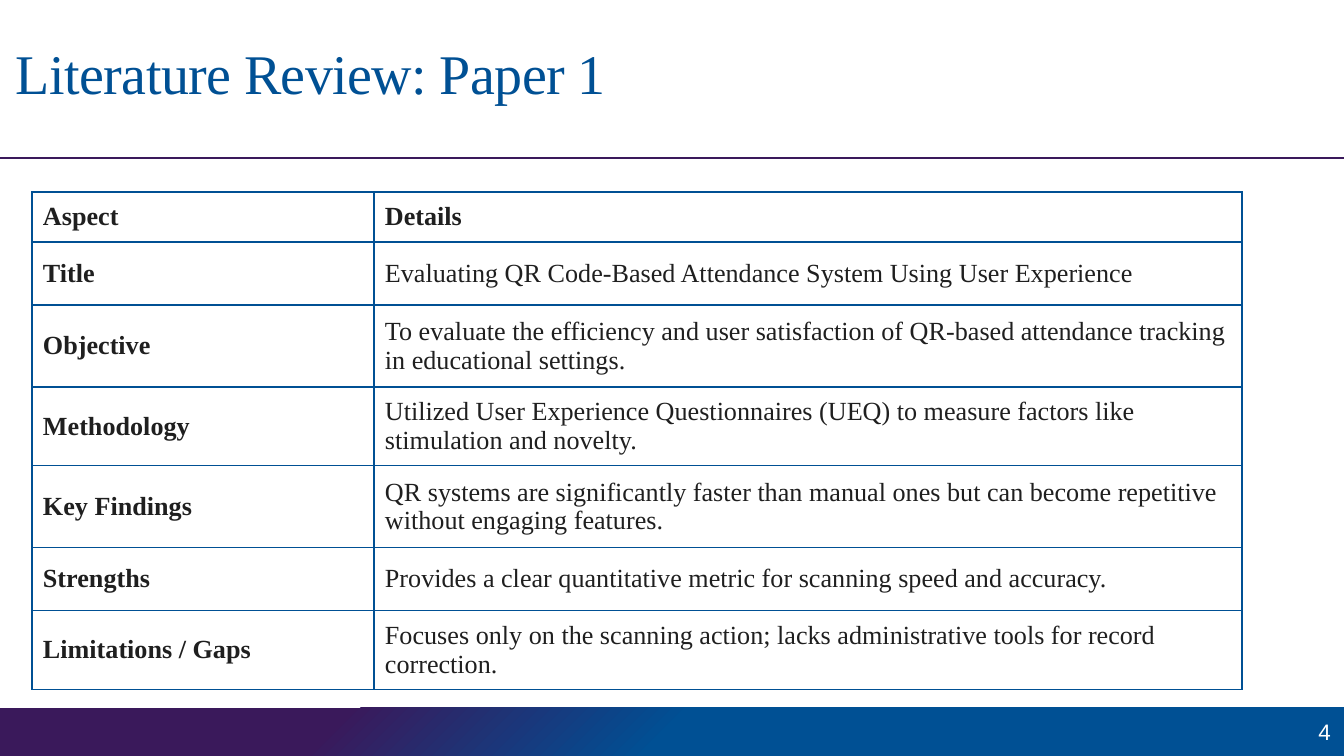
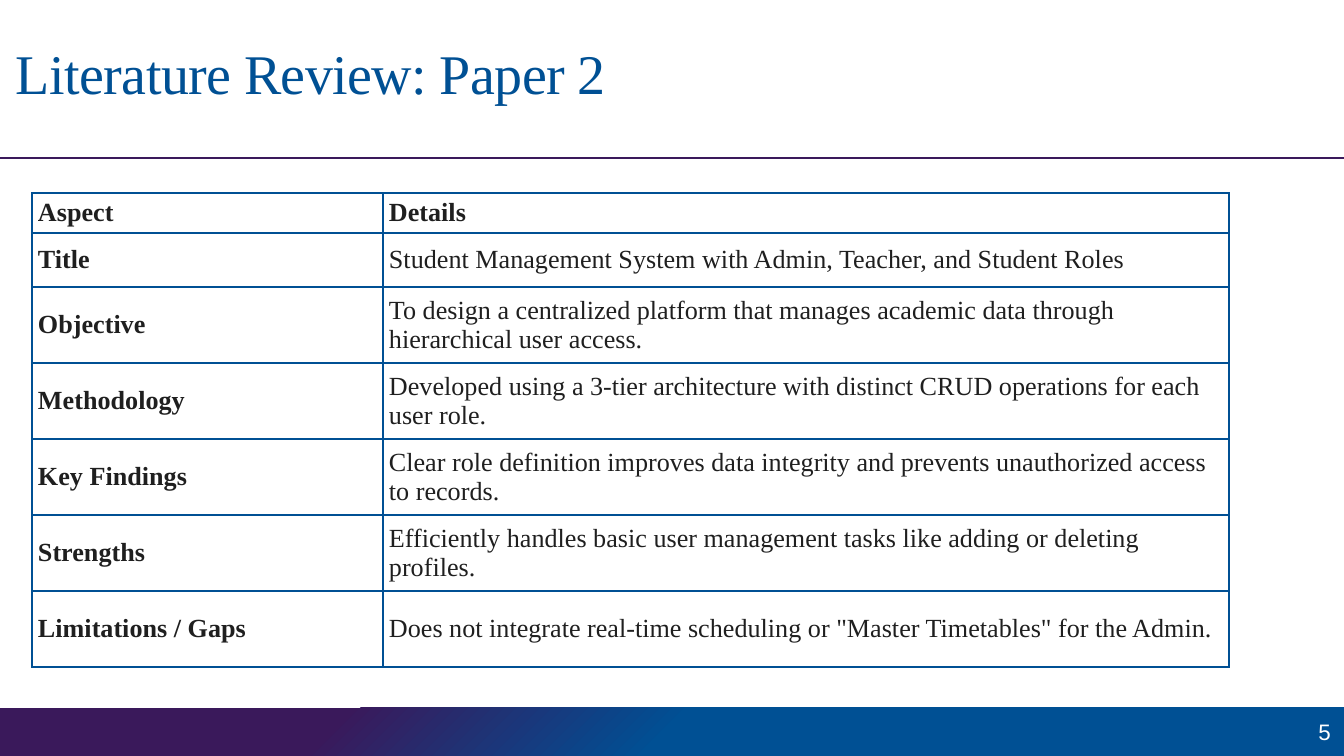
from lxml.etree import SubElement
from pptx import Presentation
from pptx.dml.color import RGBColor
from pptx.enum.shapes import MSO_CONNECTOR, MSO_SHAPE
from pptx.enum.text import MSO_ANCHOR, MSO_AUTO_SIZE, PP_ALIGN
from pptx.oxml import parse_xml
from pptx.oxml.ns import nsdecls, qn
from pptx.util import Emu, Pt

COLOURS = {"blue": "005094", "purple": "3A195B", "ink": "1F1F1F", "white": "FFFFFF"}
SERIF, SANS = "Times New Roman", "Arial"
PAGE_WIDTH, PAGE_HEIGHT = 1344, 756
TITLE_BOX = (9, 28, 1093, 78)
RULE_BOX = (0, 158, PAGE_WIDTH, 0)
BAND_BOX = (0, 708, PAGE_WIDTH, 48)
NUMBER_WIDTH = 75

ASPECTS = ["Aspect", "Title", "Objective", "Methodology", "Key Findings",
           "Strengths", "Limitations / Gaps"]

PAPERS = [
    {
        "title": "Literature Review: Paper 1",
        "number": "4",
        "corner": (32, 192),
        "columns": [342, 868],
        "rows": [50, 63, 82, 78, 82, 63, 78],
        "insets": (11, 8),
        "details": [
            "Details",
            "Evaluating QR Code-Based Attendance System Using User Experience",
            "To evaluate the efficiency and user satisfaction of QR-based attendance tracking in educational settings.",
            "Utilized User Experience Questionnaires (UEQ) to measure factors like stimulation and novelty.",
            "QR systems are significantly faster than manual ones but can become repetitive without engaging features.",
            "Provides a clear quantitative metric for scanning speed and accuracy.",
            "Focuses only on the scanning action; lacks administrative tools for record correction.",
        ],
    },
    {
        "title": "Literature Review: Paper 2",
        "number": "5",
        "corner": (32, 193),
        "columns": [351, 846],
        "rows": [40, 54] + [76] * 5,
        "insets": (6, 4),
        "details": [
            "Details",
            "Student Management System with Admin, Teacher, and Student Roles",
            "To design a centralized platform that manages academic data through hierarchical user access.",
            "Developed using a 3-tier architecture with distinct CRUD operations for each user role.",
            "Clear role definition improves data integrity and prevents unauthorized access to records.",
            "Efficiently handles basic user management tasks like adding or deleting profiles.",
            'Does not integrate real-time scheduling or "Master Timetables" for the Admin.',
        ],
    },
]


def px(length):
    return Emu(round(length * 914400 / 134.4))


def set_font(para, name, size, colour, bold=False):
    para.font.name = name
    para.font.size = Pt(size)
    para.font.bold = bold
    para.font.color.rgb = RGBColor.from_string(COLOURS[colour])


def add_title(page, box, text):
    title = page.shapes.title
    title.left, title.top, title.width, title.height = map(px, box)
    frame = title.text_frame
    frame.text = text
    frame.word_wrap = True
    frame.auto_size = MSO_AUTO_SIZE.SHAPE_TO_FIT_TEXT
    frame.vertical_anchor = MSO_ANCHOR.TOP
    frame.margin_left = frame.margin_right = frame.margin_bottom = 0
    frame.margin_top = px(11)
    para = frame.paragraphs[0]
    para.alignment = PP_ALIGN.LEFT
    properties = para._p.get_or_add_pPr()
    properties.set("marL", str(px(7)))
    properties.set("indent", "0")
    set_font(para, SERIF, 30, "blue")
    properties.get_or_add_defRPr().set("spc", "-30")


def add_rule(page, box):
    left, top, width, height = box
    rule = page.shapes.add_connector(MSO_CONNECTOR.STRAIGHT, px(left), px(top),
                                     px(left + width), px(top + height))
    rule.line.color.rgb = RGBColor.from_string(COLOURS["purple"])
    rule.line.width = Pt(0.75)
    SubElement(rule._element.spPr, qn("a:effectLst"))


def add_band(page, box, number):
    left, top, width, height = box
    band = page.shapes.add_shape(MSO_SHAPE.RECTANGLE, *map(px, box))
    band.shadow.inherit = False
    band.line.fill.background()
    stops = "".join(
        f'<a:gs pos="{position * 1000}"><a:srgbClr val="{COLOURS[colour]}"/></a:gs>'
        for position, colour in [(0, "blue"), (50, "blue"), (75, "purple")])
    gradient = parse_xml(
        f'<a:gradFill {nsdecls("a")} rotWithShape="1"><a:gsLst>{stops}</a:gsLst>'
        '<a:path path="circle"><a:fillToRect l="100000" t="100000"/></a:path></a:gradFill>')
    band._element.spPr.find(qn("a:prstGeom")).addnext(gradient)

    label = page.shapes.add_textbox(px(left + width - NUMBER_WIDTH), px(top),
                                    px(NUMBER_WIDTH), px(height))
    frame = label.text_frame
    frame.word_wrap = True
    frame.vertical_anchor = MSO_ANCHOR.MIDDLE
    frame.text = number
    para = frame.paragraphs[0]
    para.alignment = PP_ALIGN.RIGHT
    set_font(para, SANS, 12, "white")


def format_cell(cell, text, insets, bold):
    cell.text = text
    cell.vertical_anchor = MSO_ANCHOR.MIDDLE
    cell.margin_left = cell.margin_right = px(insets[0])
    cell.margin_top = cell.margin_bottom = px(insets[1])
    set_font(cell.text_frame.paragraphs[0], SERIF, 14, "ink", bold)
    properties = cell._tc.get_or_add_tcPr()
    for side in ("lnL", "lnR", "lnT", "lnB"):
        properties.append(parse_xml(
            f'<a:{side} {nsdecls("a")} w="{Pt(1)}"><a:solidFill>'
            f'<a:srgbClr val="{COLOURS["blue"]}"/></a:solidFill></a:{side}>'))
    cell.fill.background()


def add_review_table(page, box, paper):
    grid = page.shapes.add_table(len(ASPECTS), 2, *map(px, box)).table
    grid.first_row = grid.horz_banding = False
    for column, width in zip(grid.columns, paper["columns"]):
        column.width = px(width)
    for row, height in zip(grid.rows, paper["rows"]):
        row.height = px(height)
    for index, (aspect, detail) in enumerate(zip(ASPECTS, paper["details"])):
        format_cell(grid.cell(index, 0), aspect, paper["insets"], True)
        format_cell(grid.cell(index, 1), detail, paper["insets"], index == 0)


def add_review_page(deck, paper):
    page = deck.slides.add_slide(deck.slide_layouts[5])
    add_band(page, BAND_BOX, paper["number"])
    add_rule(page, RULE_BOX)
    add_title(page, TITLE_BOX, paper["title"])
    table_box = (*paper["corner"], sum(paper["columns"]), sum(paper["rows"]))
    add_review_table(page, table_box, paper)


def main():
    deck = Presentation()
    deck.slide_width, deck.slide_height = px(PAGE_WIDTH), px(PAGE_HEIGHT)
    for paper in PAPERS:
        add_review_page(deck, paper)
    deck.save("out.pptx")


if __name__ == "__main__":
    main()
